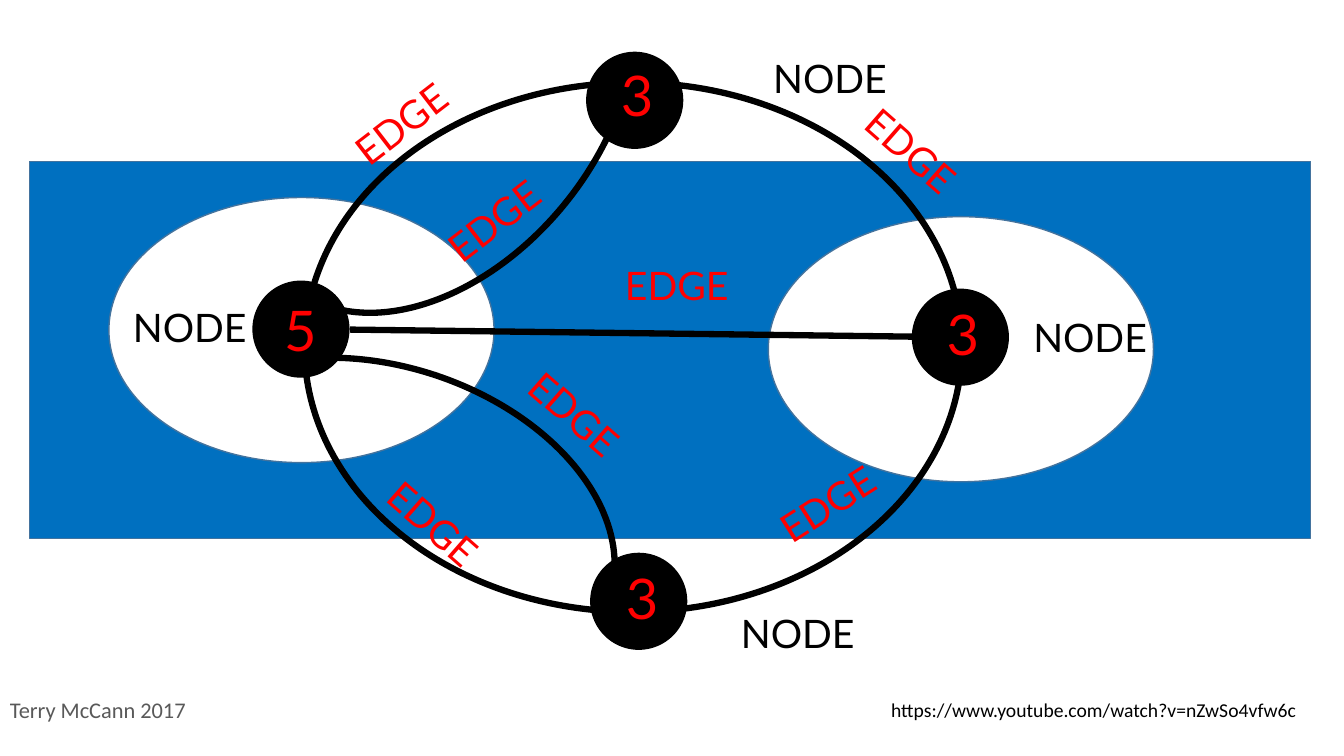
"""Build the bridges slide: two islands in a river drawn as a graph of nodes and edges."""
from lxml.etree import SubElement
from pptx import Presentation
from pptx.dml.color import RGBColor
from pptx.enum.shapes import MSO_CONNECTOR, MSO_SHAPE
from pptx.enum.text import MSO_AUTO_SIZE
from pptx.oxml.ns import qn
from pptx.util import Pt

PX = 9144
BLACK = RGBColor(0, 0, 0)
WHITE = RGBColor(255, 255, 255)
RED = RGBColor(255, 0, 0)
GREY = RGBColor(0x59, 0x59, 0x59)
RIVER = RGBColor(0x00, 0x70, 0xC0)
BORDER = RGBColor(0x43, 0x73, 0x9E)

prs = Presentation()
prs.slide_width, prs.slide_height = 1333 * PX, 750 * PX
s = prs.slides.add_slide(prs.slide_layouts[6])


def add_text(text, x, y, w, h, size=28, color=BLACK, font="Lato", wrap=True, rotation=0):
    sp = s.shapes.add_textbox(x * PX, y * PX, w * PX, h * PX)
    sp.rotation = rotation
    tf = sp.text_frame
    tf.word_wrap = wrap
    tf.auto_size = MSO_AUTO_SIZE.SHAPE_TO_FIT_TEXT
    r = tf.paragraphs[0].add_run()
    r.text = text
    r.font.name = font
    r.font.size = Pt(size)
    r.font.color.rgb = color


def add_outline(kind, x, y, w, h, fill=None, line=BLACK, width=1):
    sp = s.shapes.add_shape(kind, x * PX, y * PX, w * PX, h * PX)
    sp.shadow.inherit = False
    if fill is None:
        sp.fill.background()
    else:
        sp.fill.solid()
        sp.fill.fore_color.rgb = fill
    sp.line.color.rgb = line
    sp.line.width = Pt(width)
    return sp


add_outline(MSO_SHAPE.RECTANGLE, 29, 160, 1271, 374, fill=RIVER, line=BORDER)
add_text("Terry McCann 2017", 0, 686, 197, 37, size=16, color=GREY, font="Calibri", wrap=False)
add_text("https://www.youtube.com/watch?v=nZwSo4vfw6c", 874, 687, 426, 34,
         size=14, font="Calibri", wrap=False)

for x, y in [(108, 196), (762, 215)]:
    add_outline(MSO_SHAPE.OVAL, x, y, 382, 263, fill=WHITE, line=BORDER)

for x, y in [(251, 279), (905, 287), (586, 549), (582, 52)]:
    add_outline(MSO_SHAPE.OVAL, x, y, 95, 95, fill=BLACK)

for x, y, w in [(757, 49, 380), (122, 296, 134), (1015, 306, 380 - 80), (725, 600, 380)]:
    add_text("NODE", x, y, w, 57)

add_outline(MSO_SHAPE.OVAL, 302, 82, 652, 525, width=4.5)
bridge = s.shapes.add_connector(MSO_CONNECTOR.STRAIGHT, 347 * PX, 327 * PX, 905 * PX, 334 * PX)
bridge.line.color.rgb = BLACK
bridge.line.width = Pt(4.5)
SubElement(bridge.element.spPr, qn("a:effectLst"))

for x, y, rotation, end in [(204, -54, 129, 208.62), (147, 364, 18.1, 215.76)]:
    arc = add_outline(MSO_SHAPE.ARC, x, y, 469, 314, width=4.5)
    arc.rotation = rotation
    arc.adjustments[0] = 139.36
    arc.adjustments[1] = end

edges = [(336, 93, 322.4), (428, 189, 322.4), (368, 492, 41.2), (508, 383, 41.2),
         (610, 254, 0), (759, 470, 327.5), (842, 122, 41.2)]
for x, y, rotation in edges:
    add_text("EDGE", x, y, 126, 57, color=RED, rotation=rotation)

for degree, x, y in [("3", 606, 55), ("3", 929, 292), ("3", 611, 554), ("5", 272, 288)]:
    add_text(degree, x, y, 59, 77, size=40, color=RED)

prs.save("out.pptx")
